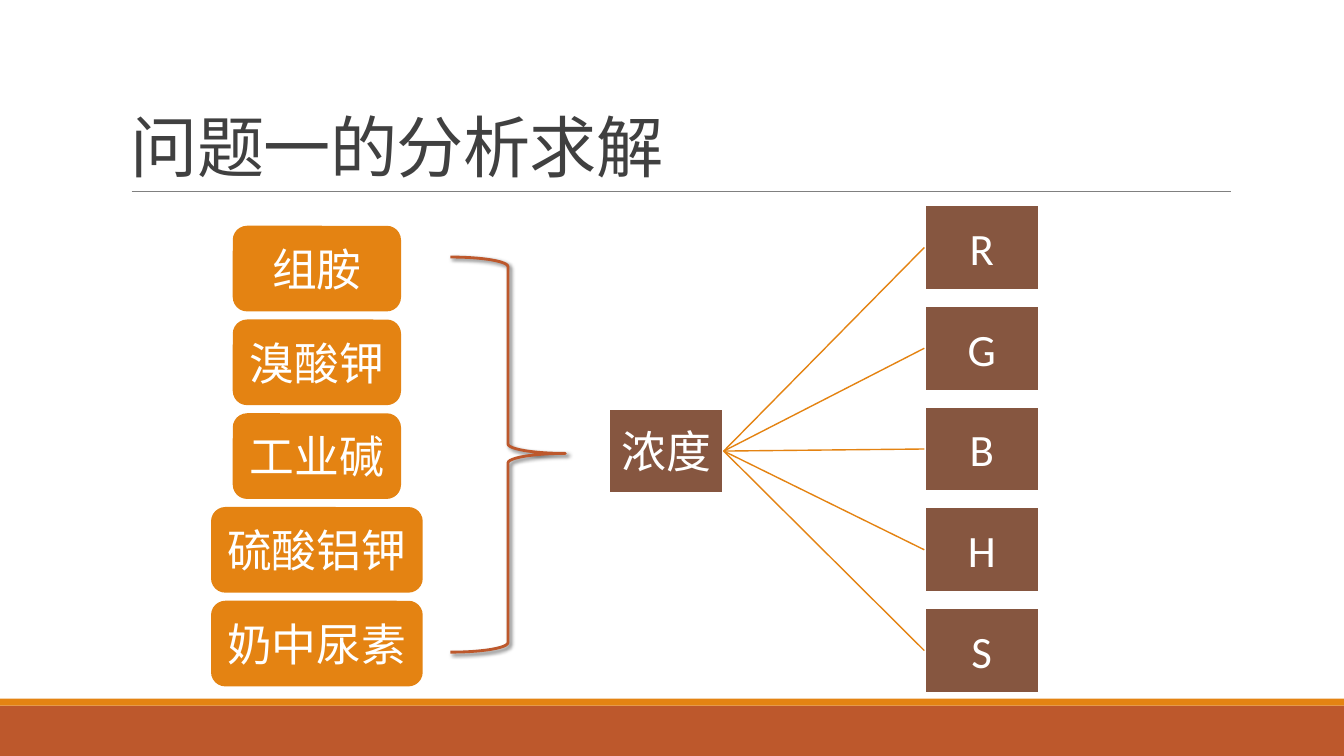
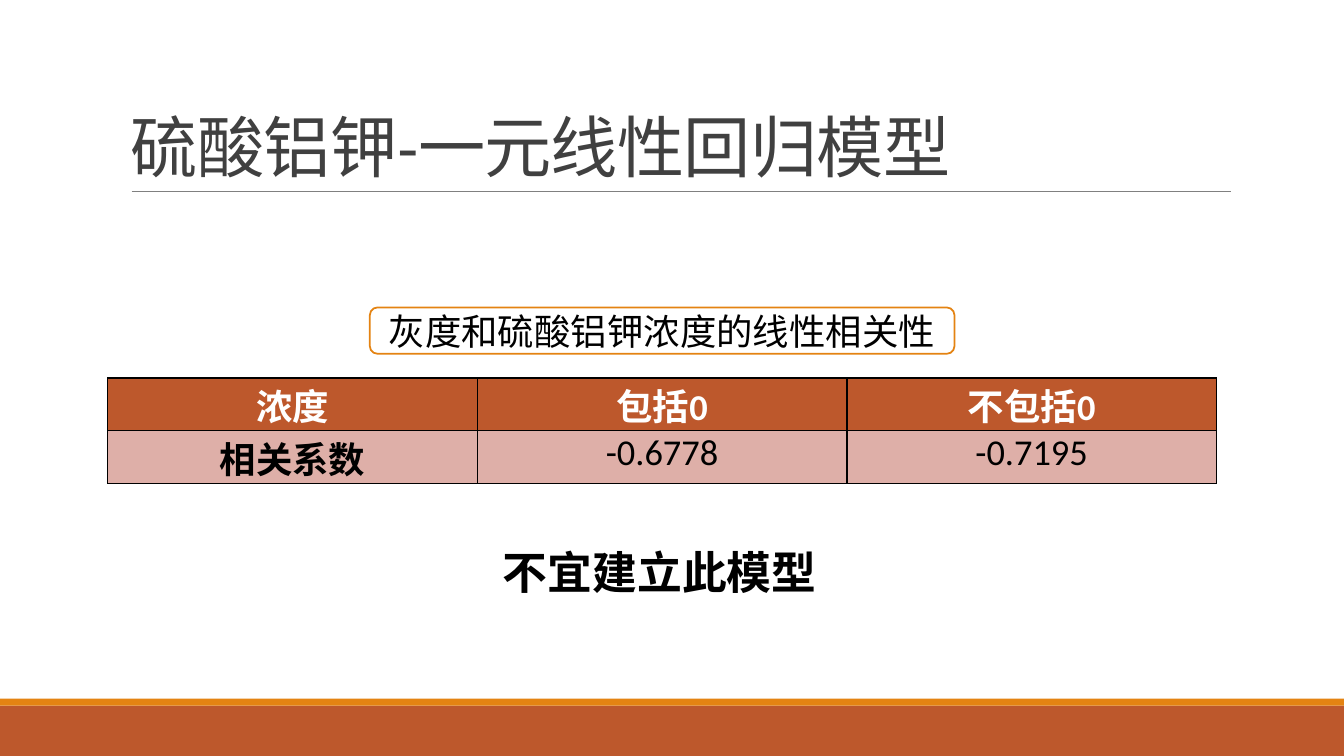
from dataclasses import dataclass

from lxml.etree import SubElement
from pptx import Presentation
from pptx.dml.color import RGBColor
from pptx.enum.shapes import MSO_CONNECTOR, MSO_SHAPE
from pptx.enum.text import MSO_ANCHOR, PP_ALIGN
from pptx.oxml import parse_xml
from pptx.oxml.ns import nsdecls, qn
from pptx.util import Inches, Pt

RUST = RGBColor(0xBD, 0x58, 0x2C)
ORANGE = RGBColor(0xE4, 0x83, 0x12)
BROWN = RGBColor(0x86, 0x56, 0x40)
PINK = RGBColor(0xDE, 0xAF, 0xA8)
CHARCOAL = RGBColor(0x40, 0x40, 0x40)
GRAY = RGBColor(0x80, 0x80, 0x80)
WHITE = RGBColor(0xFF, 0xFF, 0xFF)
BLACK = RGBColor(0, 0, 0)

FONT = "Calibri"
SLIDE_WIDTH, SLIDE_HEIGHT = Inches(13.333), Inches(7.5)


@dataclass(frozen=True)
class Box:
    """A place on the slide, in percent of its width and height."""
    x: float
    y: float
    w: float
    h: float

    def emu(self) -> tuple[int, int, int, int]:
        return across(self.x), down(self.y), across(self.w), down(self.h)


@dataclass(frozen=True)
class Column:
    """Equal blocks stacked on a common centre line, in percent."""
    center: float
    top: float
    pitch: float
    height: float

    def box(self, row: int, width: float) -> Box:
        return Box(self.center - width / 2, self.top + row * self.pitch, width, self.height)


SUBSTANCES = (("组胺", 12.52), ("溴酸钾", 12.52), ("工业碱", 12.52),
              ("硫酸铝钾", 15.75), ("奶中尿素", 15.75))
SUBSTANCE_COLUMN = Column(center=23.58, top=29.87, pitch=12.4, height=11.33)
CHANNELS = "RGBHS"
CHANNEL_WIDTH = 8.55
CHANNEL_COLUMN = Column(center=73.05, top=27.07, pitch=13.33, height=11.33)
CORRELATIONS = (("浓度", "包括0", "不包括0"), ("相关系数", "-0.6778", "-0.7195"))


def across(percent: float) -> int:
    return round(SLIDE_WIDTH * percent / 100)


def down(percent: float) -> int:
    return round(SLIDE_HEIGHT * percent / 100)


def write(frame, text: str, *, size: float, color: RGBColor, bold: bool = False,
          align=PP_ALIGN.CENTER, anchor=MSO_ANCHOR.MIDDLE, wrap: bool = False,
          line_spacing: float | None = None, margin: float = 0,
          tracking: int | None = None) -> None:
    """Fill a text frame; margin is the paragraph spacing in points, tracking in 1/100 pt."""
    frame.word_wrap = wrap
    frame.vertical_anchor = anchor
    paragraph = frame.paragraphs[0]
    paragraph.alignment = align
    paragraph.line_spacing = line_spacing
    paragraph.space_before = paragraph.space_after = Pt(margin)
    run = paragraph.add_run()
    run.text = text
    run.font.name, run.font.size, run.font.bold = FONT, Pt(size), bold
    run.font.color.rgb = color
    if tracking is not None:
        run.font._element.set("spc", str(tracking))


def add_block(slide, kind, box: Box, fill: RGBColor | None = None,
              line: RGBColor | None = None, line_width: float = 1):
    block = slide.shapes.add_shape(kind, *box.emu())
    block.shadow.inherit = False
    if fill is None:
        block.fill.background()
    else:
        block.fill.solid()
        block.fill.fore_color.rgb = fill
    if line is None:
        block.line.fill.background()
    else:
        block.line.color.rgb = line
        block.line.width = Pt(line_width)
    return block


def add_line(slide, color: RGBColor, width: float,
             start: tuple[float, float] = (0, 0), end: tuple[float, float] = (0, 0)):
    line = slide.shapes.add_connector(MSO_CONNECTOR.STRAIGHT, across(start[0]), down(start[1]),
                                      across(end[0]), down(end[1]))
    line.line.color.rgb = color
    line.line.width = Pt(width)
    SubElement(line._element.spPr, qn("a:effectLst"))
    return line


def add_label(slide, box: Box, text: str, **text_format) -> None:
    label = slide.shapes.add_textbox(*box.emu())
    write(label.text_frame, text, **text_format)


def add_titled_slide(deck, title: str):
    slide = deck.slides.add_slide(deck.slide_layouts[6])
    add_block(slide, MSO_SHAPE.RECTANGLE, Box(0, 93.33, 100, 6.67), RUST)
    add_block(slide, MSO_SHAPE.RECTANGLE, Box(0, 92.4, 100, 0.93), ORANGE)
    add_line(slide, GRAY, 0.5, (9.8, 25.33), (91.56, 25.33))
    add_label(slide, Box(9, 4.17, 82.5, 21.16), title, size=48, color=CHARCOAL,
              align=PP_ALIGN.LEFT, anchor=MSO_ANCHOR.BOTTOM, wrap=True,
              line_spacing=0.85, tracking=-50)
    return slide


def add_brace(slide, box: Box) -> None:
    brace = add_block(slide, MSO_SHAPE.RIGHT_BRACE, box, line=RUST, line_width=2)
    brace.adjustments[0], brace.adjustments[1] = 0.083, 0.497
    effects = brace._element.spPr.find(qn("a:effectLst"))
    effects.append(parse_xml(
        f'<a:outerShdw {nsdecls("a")} blurRad="{Pt(3)}" dist="{Pt(2)}" dir="2700000" '
        'rotWithShape="0"><a:srgbClr val="000000"><a:alpha val="60000"/></a:srgbClr>'
        '</a:outerShdw>'))


def add_brown_box(slide, box: Box, text: str):
    block = add_block(slide, MSO_SHAPE.RECTANGLE, box, BROWN, WHITE, 2)
    write(block.text_frame, text, size=32, color=WHITE)
    return block


def set_borders(cell, color: RGBColor, width: float) -> None:
    properties = cell._tc.get_or_add_tcPr()
    for position, side in enumerate(("lnL", "lnR", "lnT", "lnB")):
        properties.insert(position, parse_xml(
            f'<a:{side} {nsdecls("a")} w="{Pt(width)}"><a:solidFill>'
            f'<a:srgbClr val="{color}"/></a:solidFill></a:{side}>'))


def add_correlation_table(slide, box: Box) -> None:
    rows, columns = len(CORRELATIONS), len(CORRELATIONS[0])
    table = slide.shapes.add_table(rows, columns, *box.emu()).table
    for r, values in enumerate(CORRELATIONS):
        header = r == 0
        for c, value in enumerate(values):
            cell = table.cell(r, c)
            cell.margin_left = cell.margin_right = Inches(0.07)
            cell.margin_top = cell.margin_bottom = 0
            cell.fill.solid()
            cell.fill.fore_color.rgb = RUST if header else PINK
            anchor = MSO_ANCHOR.BOTTOM if header else MSO_ANCHOR.TOP
            write(cell.text_frame, value, size=26, color=WHITE if header else BLACK,
                  bold=header or c == 0, margin=1.8, wrap=True, anchor=None)
            cell.vertical_anchor = anchor
            set_borders(cell, BLACK, 1)


def build_analysis(deck) -> None:
    slide = add_titled_slide(deck, "问题一的分析求解")
    for row, (substance, width) in enumerate(SUBSTANCES):
        block = add_block(slide, MSO_SHAPE.ROUNDED_RECTANGLE,
                          SUBSTANCE_COLUMN.box(row, width), ORANGE)
        write(block.text_frame, substance, size=32, color=WHITE)
    concentration = add_brown_box(slide, Box(45.3, 54, CHANNEL_WIDTH, 11.33), "浓度")
    add_brace(slide, Box(33.52, 34, 8.55, 52.27))
    for row, channel in enumerate(CHANNELS):
        target = add_brown_box(slide, CHANNEL_COLUMN.box(row, CHANNEL_WIDTH), channel)
        link = add_line(slide, ORANGE, 1)
        link.begin_connect(concentration, 3)
        link.end_connect(target, 1)


def build_regression(deck) -> None:
    slide = add_titled_slide(deck, "硫酸铝钾-一元线性回归模型")
    add_correlation_table(slide, Box(8.02, 50, 82.5, 14))
    caption = add_block(slide, MSO_SHAPE.ROUNDED_RECTANGLE, Box(27.52, 40.67, 43.5, 6.13),
                        WHITE, ORANGE, 1.25)
    write(caption.text_frame, "灰度和硫酸铝钾浓度的线性相关性", size=26, color=BLACK)
    add_label(slide, Box(36.68, 71.33, 25.2, 8.53), "不宜建立此模型", size=32, color=BLACK,
              bold=True, align=PP_ALIGN.LEFT, anchor=MSO_ANCHOR.TOP)


def main() -> None:
    deck = Presentation()
    deck.slide_width, deck.slide_height = SLIDE_WIDTH, SLIDE_HEIGHT
    build_analysis(deck)
    build_regression(deck)
    deck.save("out.pptx")


if __name__ == "__main__":
    main()
